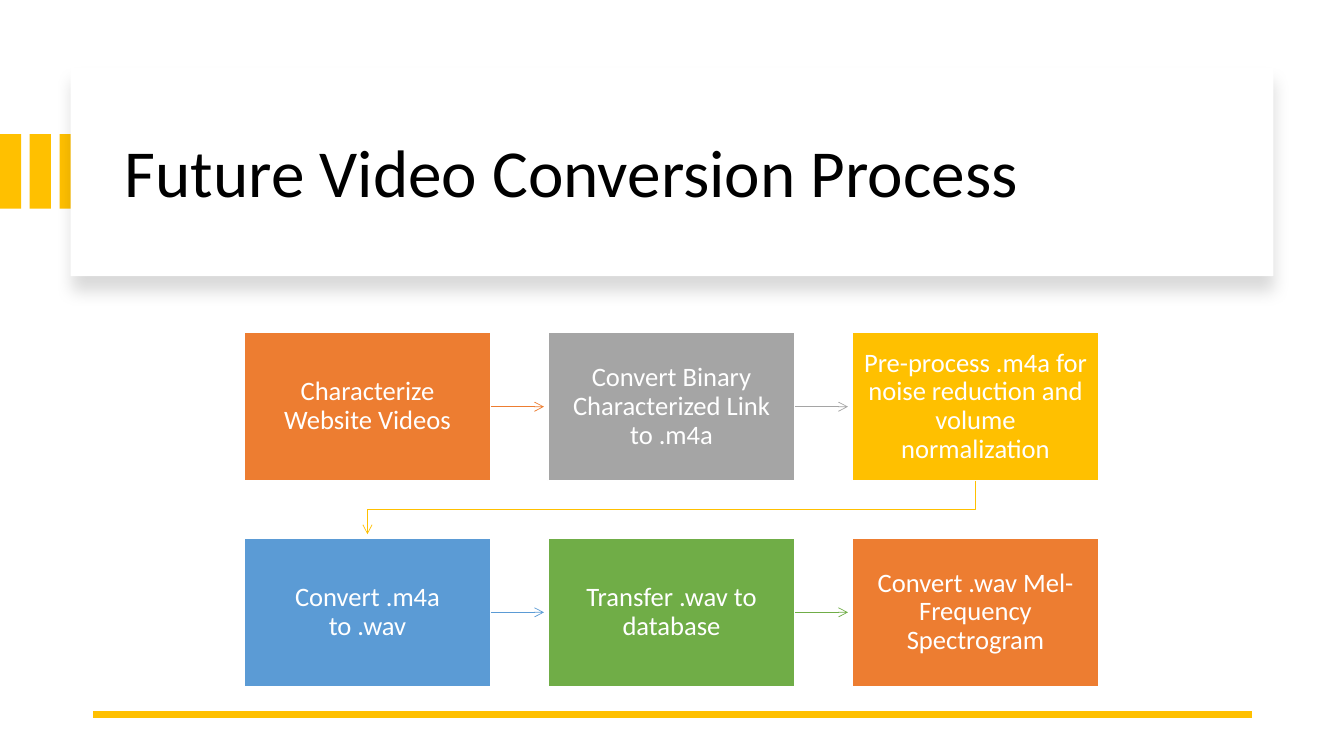
from dataclasses import dataclass

from lxml.etree import SubElement
from pptx import Presentation
from pptx.dml.color import RGBColor
from pptx.enum.shapes import MSO_CONNECTOR, MSO_SHAPE
from pptx.enum.text import MSO_ANCHOR, PP_ALIGN
from pptx.oxml.ns import qn
from pptx.shapes.autoshape import Shape
from pptx.shapes.connector import Connector
from pptx.slide import Slide
from pptx.text.text import TextFrame
from pptx.util import Inches, Pt

FONT = "Calibri"
WHITE, BLACK, GOLD = "FFFFFF", "000000", "FFC000"
ORANGE, GRAY, BLUE, GREEN = "ED7D31", "A5A5A5", "5B9BD5", "70AD47"

COLUMNS = 3
GRID_LEFT, GRID_TOP = 2.42, 3.3
COLUMN_PITCH, ROW_PITCH = 3.015, 2.04
STEP_WIDTH, STEP_HEIGHT = 2.45, 1.47
ARROW_GAP = 0.04
RIGHT_SIDE = 3


@dataclass(frozen=True)
class Step:
    caption: str
    color: str


STEPS = [
    Step("Characterize Website Videos", ORANGE),
    Step("Convert Binary Characterized Link to .m4a", GRAY),
    Step("Pre-process .m4a for noise reduction and volume normalization", GOLD),
    Step("Convert .m4a to .wav", BLUE),
    Step("Transfer .wav to database", GREEN),
    Step("Convert .wav Mel-Frequency Spectrogram", ORANGE),
]


def rgb(color: str) -> RGBColor:
    return RGBColor.from_string(color)


def step_corner(index: int) -> tuple[float, float]:
    row, column = divmod(index, COLUMNS)
    return GRID_LEFT + column * COLUMN_PITCH, GRID_TOP + row * ROW_PITCH


def add_rectangle(slide: Slide, left: float, top: float, width: float,
                  height: float, color: str) -> Shape:
    rectangle = slide.shapes.add_shape(
        MSO_SHAPE.RECTANGLE, Inches(left), Inches(top), Inches(width), Inches(height))
    rectangle.shadow.inherit = False
    rectangle.fill.solid()
    rectangle.fill.fore_color.rgb = rgb(color)
    rectangle.line.fill.background()
    return rectangle


def write_text(frame: TextFrame, text: str, size: float, color: str,
               alignment: PP_ALIGN) -> None:
    frame.word_wrap = True
    frame.vertical_anchor = MSO_ANCHOR.MIDDLE
    paragraph = frame.paragraphs[0]
    paragraph.alignment = alignment
    paragraph.line_spacing = 0.9
    run = paragraph.add_run()
    run.text = text
    run.font.name = FONT
    run.font.size = Pt(size)
    run.font.color.rgb = rgb(color)


def style_line(line_shape: Shape | Connector, color: str, width: float,
               arrow: bool = False) -> None:
    line_shape.line.color.rgb = rgb(color)
    line_shape.line.width = Pt(width)
    if arrow:
        SubElement(line_shape.line._get_or_add_ln(), qn("a:tailEnd"), type="arrow")


def add_straight(slide: Slide, x1: float, y1: float, x2: float, y2: float) -> Connector:
    connector = slide.shapes.add_connector(
        MSO_CONNECTOR.STRAIGHT, Inches(x1), Inches(y1), Inches(x2), Inches(y2))
    SubElement(connector._element.spPr, qn("a:effectLst"))
    return connector


def add_soft_shadow(panel: Shape) -> None:
    effects = panel._element.spPr.find(qn("a:effectLst"))
    shadow = SubElement(effects, qn("a:outerShdw"), blurRad=str(Pt(11)),
                        dist=str(Pt(10)), dir="5400000", rotWithShape="0")
    shade = SubElement(shadow, qn("a:srgbClr"), val=BLACK)
    SubElement(shade, qn("a:alpha"), val="15000")


def add_header(slide: Slide) -> None:
    for stripe in range(3):
        add_rectangle(slide, stripe * 0.295, 1.33, 0.21, 0.74, GOLD)
    add_soft_shadow(add_rectangle(slide, 0.7, 0.67, 11.93, 2.07, WHITE))
    title = slide.shapes.add_textbox(Inches(1.14), Inches(0.89), Inches(11.13), Inches(1.7))
    write_text(title.text_frame, "Future Video Conversion Process", 48, BLACK, PP_ALIGN.LEFT)


def add_step(slide: Slide, index: int, step: Step) -> Shape:
    box = add_rectangle(slide, *step_corner(index), STEP_WIDTH, STEP_HEIGHT, step.color)
    style_line(box, WHITE, 1)
    frame = box.text_frame
    frame.margin_left = frame.margin_right = Inches(0.12)
    frame.margin_top = frame.margin_bottom = Inches(0.13)
    write_text(frame, step.caption, 19, WHITE, PP_ALIGN.CENTER)
    return box


def add_row_arrow(slide: Slide, index: int, box: Shape, color: str) -> None:
    left, top = step_corner(index)
    middle = top + STEP_HEIGHT / 2
    arrow = add_straight(slide, left + STEP_WIDTH, middle,
                         left + COLUMN_PITCH - ARROW_GAP, middle)
    arrow.begin_connect(box, RIGHT_SIDE)
    style_line(arrow, color, 0.5, arrow=True)


def add_return_arrow(slide: Slide, index: int, color: str) -> None:
    """Lead from the end of one row down to the start of the next."""
    left, top = step_corner(index)
    next_left, next_top = step_corner(index + 1)
    start_x, end_x = left + STEP_WIDTH / 2, next_left + STEP_WIDTH / 2
    start_y = top + STEP_HEIGHT
    turn_y = (start_y + next_top) / 2
    bends = [(start_x, turn_y), (end_x, turn_y), (end_x, next_top - ARROW_GAP)]
    builder = slide.shapes.build_freeform(Inches(start_x), Inches(start_y))
    builder.add_line_segments([(Inches(x), Inches(y)) for x, y in bends], close=False)
    arrow = builder.convert_to_shape()
    arrow.shadow.inherit = False
    arrow.fill.background()
    style_line(arrow, color, 0.5, arrow=True)


def add_process(slide: Slide) -> None:
    boxes = [add_step(slide, index, step) for index, step in enumerate(STEPS)]
    for index, step in enumerate(STEPS[:-1]):
        if (index + 1) % COLUMNS:
            add_row_arrow(slide, index, boxes[index], step.color)
        else:
            add_return_arrow(slide, index, step.color)


def main() -> None:
    presentation = Presentation()
    presentation.slide_width = Inches(13.33)
    presentation.slide_height = Inches(7.5)
    slide = presentation.slides.add_slide(presentation.slide_layouts[6])
    add_header(slide)
    footer_rule = add_straight(slide, 12.42, 7.09, 0.92, 7.09)
    style_line(footer_rule, GOLD, 4.5)
    add_process(slide)
    presentation.save("out.pptx")


if __name__ == "__main__":
    main()
